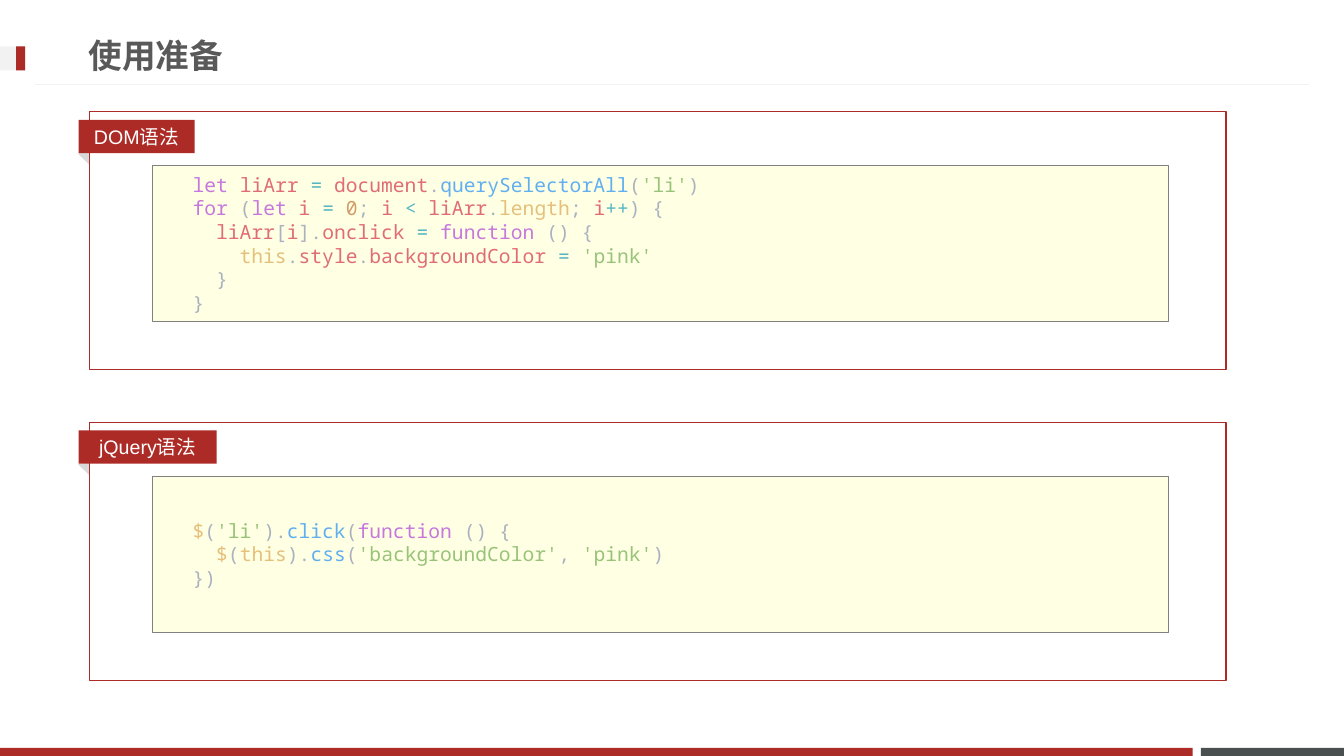
from pptx import Presentation
from pptx.dml.color import RGBColor
from pptx.enum.shapes import MSO_CONNECTOR, MSO_SHAPE
from pptx.enum.text import MSO_ANCHOR, PP_ALIGN
from pptx.oxml.ns import qn
from pptx.util import Inches, Pt
from lxml import etree

RECTANGLE = MSO_SHAPE.RECTANGLE
TRIANGLE = MSO_SHAPE.ISOSCELES_TRIANGLE
MIDDLE = MSO_ANCHOR.MIDDLE

RED = RGBColor(0xAD, 0x2B, 0x26)
SLATE = RGBColor(0x49, 0x50, 0x4F)
PALE = RGBColor(0xF2, 0xF2, 0xF2)
FOLD_GRAY = RGBColor(0xD9, 0xD9, 0xD9)
TITLE_GRAY = RGBColor(0x59, 0x59, 0x59)
BORDER_GRAY = RGBColor(0x80, 0x80, 0x80)
CREAM = RGBColor(0xFF, 0xFF, 0xE4)
WHITE = RGBColor(0xFF, 0xFF, 0xFF)

# Syntax colours
PLAIN = RGBColor(0xAB, 0xB2, 0xBF)
KEYWORD = RGBColor(0xC6, 0x78, 0xDD)
NAME = RGBColor(0xE0, 0x6C, 0x75)
OPERATOR = RGBColor(0x56, 0xB6, 0xC2)
METHOD = RGBColor(0x61, 0xAF, 0xEF)
STRING = RGBColor(0x98, 0xC3, 0x79)
NUMBER = RGBColor(0xD1, 0x9A, 0x66)
SPECIAL = RGBColor(0xE5, 0xC0, 0x7B)

SLIDE_WIDTH, SLIDE_HEIGHT = 13.33, 7.5
CODE_LINE_HEIGHT = 0.235

DOM_CODE = [
    [("let ", KEYWORD), ("liArr ", NAME), ("= ", OPERATOR), ("document", NAME),
     (".", PLAIN), ("querySelectorAll", METHOD), ("(", PLAIN),
     ("'li'", STRING), (")", PLAIN)],
    [("for", KEYWORD), (" (", PLAIN), ("let ", KEYWORD), ("i ", NAME),
     ("= ", OPERATOR), ("0", NUMBER), ("; ", PLAIN), ("i ", NAME),
     ("< ", OPERATOR), ("liArr", NAME), (".", PLAIN), ("length", SPECIAL),
     ("; ", PLAIN), ("i", NAME), ("++", OPERATOR), (") {", PLAIN)],
    [("  liArr", NAME), ("[", PLAIN), ("i", NAME), ("].", PLAIN),
     ("onclick ", NAME), ("= ", OPERATOR), ("function", KEYWORD),
     (" () {", PLAIN)],
    [("    this", SPECIAL), (".", PLAIN), ("style", NAME), (".", PLAIN),
     ("backgroundColor ", NAME), ("= ", OPERATOR), ("'pink'", STRING)],
    [("  }", PLAIN)],
    [("}", PLAIN)],
]
JQUERY_CODE = [
    [("$", SPECIAL), ("(", PLAIN), ("'li'", STRING), (").", PLAIN),
     ("click", METHOD), ("(", PLAIN), ("function", KEYWORD), (" () {", PLAIN)],
    [("  $", SPECIAL), ("(", PLAIN), ("this", SPECIAL), (").", PLAIN),
     ("css", METHOD), ("(", PLAIN), ("'backgroundColor'", STRING),
     (", ", PLAIN), ("'pink'", STRING), (")", PLAIN)],
    [("})", PLAIN)],
]


def add_block(slide, box, fill=None, line=None, line_width=0.75, kind=RECTANGLE):
    shape = slide.shapes.add_shape(kind, *map(Inches, box))
    shape.shadow.inherit = False
    if fill is None:
        shape.fill.background()
    else:
        shape.fill.solid()
        shape.fill.fore_color.rgb = fill
    if line is None:
        shape.line.fill.background()
    else:
        shape.line.color.rgb = line
        shape.line.width = Pt(line_width)
    return shape


def set_font(paragraph, name, size, color=None, bold=False):
    paragraph.font.name = name
    paragraph.font.size = Pt(size)
    paragraph.font.bold = bold
    if color is not None:
        paragraph.font.color.rgb = color


def add_header(slide, text, box):
    left, top, width, height = box
    marker_top = top + 0.2
    add_block(slide, (0, marker_top, 0.25, 0.24), PALE)
    add_block(slide, (0.16, marker_top, 0.09, 0.24), RED)

    rule_y = Inches(top + height + 0.01)
    rule = slide.shapes.add_connector(
        MSO_CONNECTOR.STRAIGHT,
        Inches(SLIDE_WIDTH - 0.35), rule_y, Inches(0.35), rule_y)
    rule.line.color.rgb = PALE
    rule.line.width = Pt(0.75)
    etree.SubElement(rule._element.spPr, qn("a:effectLst"))

    title = slide.shapes.title
    title.left, title.top = Inches(left), Inches(top)
    title.width, title.height = Inches(width), Inches(height)
    frame = title.text_frame
    frame.text = text
    frame.vertical_anchor = MIDDLE
    paragraph = frame.paragraphs[0]
    paragraph.alignment = PP_ALIGN.LEFT
    set_font(paragraph, "Arial", 24, TITLE_GRAY, bold=True)


def add_footer(slide, height=0.08):
    top = SLIDE_HEIGHT - height
    add_block(slide, (0, top, 11.83, height), RED)
    add_block(slide, (11.91, top, SLIDE_WIDTH - 11.91, height), SLATE)


def add_code(slide, box, lines):
    """Write coloured code lines, centred vertically in the box."""
    left, top, width, height = box
    text_height = len(lines) * CODE_LINE_HEIGHT + 0.1
    text_top = top + (height - text_height) / 2
    frame = slide.shapes.add_textbox(
        *map(Inches, (left, text_top, width, text_height))).text_frame
    frame.word_wrap = True
    frame.vertical_anchor = MIDDLE
    frame.margin_left = Inches(0.8)
    for index, tokens in enumerate(lines):
        paragraph = frame.add_paragraph() if index else frame.paragraphs[0]
        set_font(paragraph, "Noto Sans Mono", 14)
        for text, color in tokens:
            run = paragraph.add_run()
            run.text = text
            run.font.color.rgb = color


def add_code_card(slide, box, label, label_width, lines):
    left, top, width, height = box
    panel_top, panel_height = top + 0.53, 1.55
    tag_left = left - 0.11
    add_block(slide, (left + 0.62, panel_top, 10.08, panel_height),
              CREAM, BORDER_GRAY, 0.25)
    fold = add_block(slide, (tag_left, top + 0.39, 0.16, 0.09),
                     FOLD_GRAY, kind=TRIANGLE)
    fold.rotation = 44.2
    add_block(slide, box, line=RED)

    tag = add_block(slide, (tag_left, top + 0.08, label_width, 0.33), RED)
    frame = tag.text_frame
    frame.text = label
    frame.word_wrap = False
    frame.vertical_anchor = MIDDLE
    paragraph = frame.paragraphs[0]
    paragraph.alignment = PP_ALIGN.CENTER
    set_font(paragraph, "Arial", 14, WHITE)

    add_code(slide, (left + 0.22, panel_top, 7.71, panel_height), lines)


def main():
    presentation = Presentation()
    presentation.slide_width = Inches(SLIDE_WIDTH)
    presentation.slide_height = Inches(SLIDE_HEIGHT)
    slide = presentation.slides.add_slide(presentation.slide_layouts[5])
    add_footer(slide)
    add_header(slide, "使用准备", (0.78, 0.26, 9.59, 0.57))
    cards = [("DOM语法", 1.15, DOM_CODE), ("jQuery语法", 1.37, JQUERY_CODE)]
    for row, (label, label_width, lines) in enumerate(cards):
        box = (0.89, 1.11 + row * 3.08, 11.27, 2.56)
        add_code_card(slide, box, label, label_width, lines)
    presentation.save("out.pptx")


if __name__ == "__main__":
    main()
